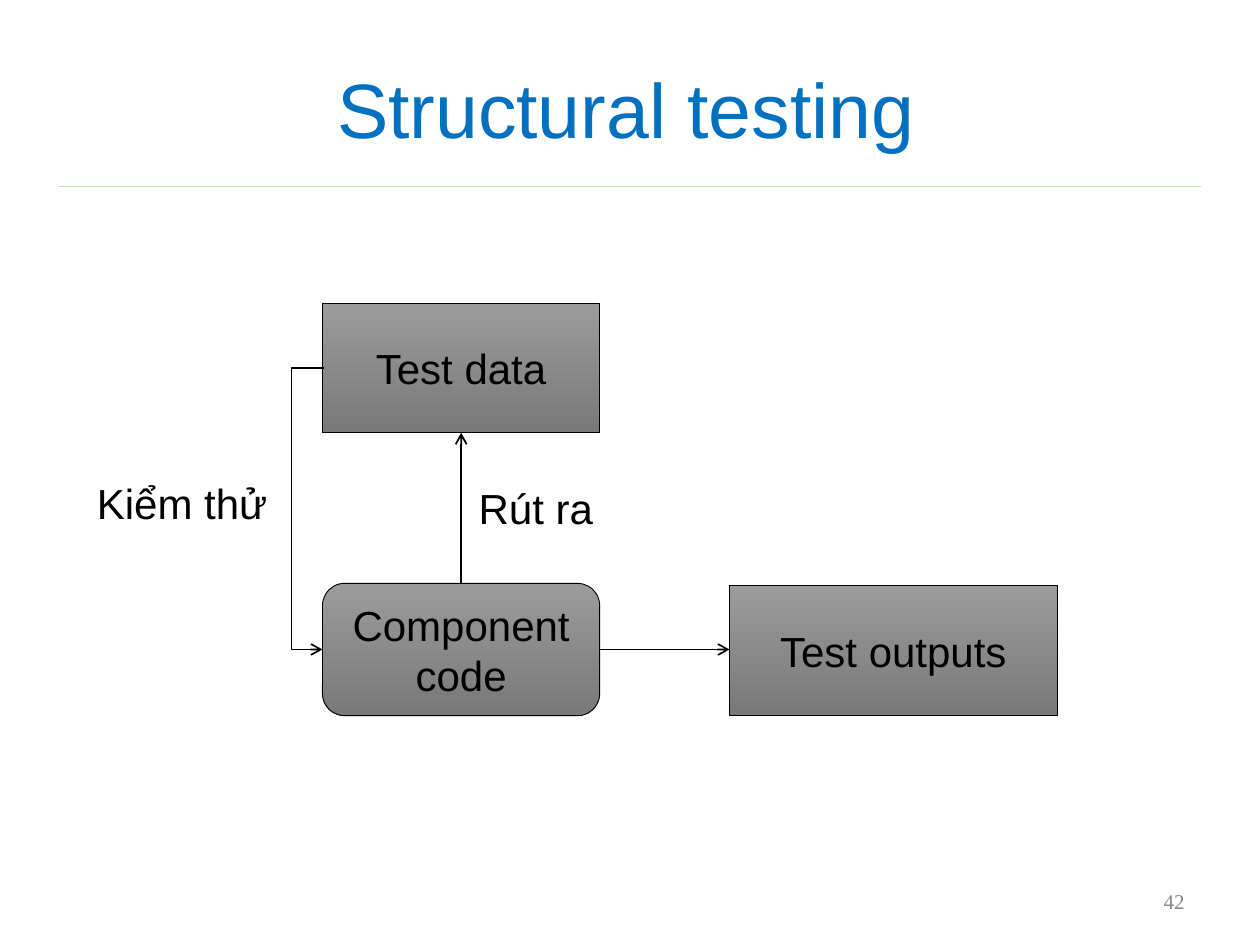
"""Build the structural testing slide: a flow between test data, code and outputs."""
import pptx
import pptx.dml.color
import pptx.enum.dml
import pptx.enum.shapes
import pptx.enum.text
import pptx.oxml
import pptx.oxml.ns
import pptx.util

RGBColor = pptx.dml.color.RGBColor
BLACK = RGBColor(0x00, 0x00, 0x00)
BLUE = RGBColor(0x00, 0x70, 0xC0)
GREY = RGBColor(0x89, 0x89, 0x89)
PALE_GREEN = RGBColor(0xC0, 0xE5, 0xAF)
GRADIENT = (RGBColor(0x9B, 0x9B, 0x9B), RGBColor(0x79, 0x79, 0x79))

WIDTH, HEIGHT = pptx.util.Inches(10), pptx.util.Inches(7.5)
SHAPE = pptx.enum.shapes.MSO_SHAPE
CONNECTOR = pptx.enum.shapes.MSO_CONNECTOR
ALIGN = pptx.enum.text.PP_ALIGN
ANCHOR = pptx.enum.text.MSO_ANCHOR

BODY = {"size": pptx.util.Pt(24), "name": "Arial"}
TITLE = {"size": pptx.util.Pt(44), "name": "Arial"}
NUMBER = {"size": pptx.util.Pt(12), "name": "Times New Roman"}


def place(*percents):
    """Turn alternating horizontal and vertical percentages into lengths."""
    return [int(side * percent / 100)
            for percent, side in zip(percents, (WIDTH, HEIGHT) * 2)]


def write(box, text, font, color, align, anchor=ANCHOR.MIDDLE, wrap=True):
    """Put one formatted paragraph into a box."""
    frame = box.text_frame
    frame.word_wrap = wrap
    frame.vertical_anchor = anchor
    para = frame.paragraphs[0]
    para.alignment = align
    span = para.add_run()
    span.text = text
    for name, value in font.items():
        setattr(span.font, name, value)
    span.font.color.rgb = color


def add_text(page, area, *args, **options):
    """Add a text box."""
    write(page.shapes.add_textbox(*place(*area)), *args, **options)


def add_label(page, area, text):
    """Add an unwrapped label beside an arrow."""
    add_text(page, area, text, BODY, BLACK, ALIGN.LEFT, anchor=ANCHOR.TOP, wrap=False)


def add_node(page, kind, area, text):
    """Add a grey gradient box of the flow and return it."""
    node = page.shapes.add_shape(kind, *place(*area))
    node.shadow.inherit = False
    node.fill.gradient()
    node.fill.gradient_angle = 270
    for stop, color in zip(node.fill.gradient_stops, GRADIENT):
        stop.color.rgb = color
    node.line.color.rgb = BLACK
    node.line.width = pptx.util.Pt(0.5)
    write(node, text, BODY, BLACK, ALIGN.CENTER)
    return node


def add_line(page, ends, color=BLACK, width=1, kind=CONNECTOR.STRAIGHT, arrow=True):
    """Add a connector, with an open arrowhead at its end if wanted."""
    line = page.shapes.add_connector(kind, *ends)
    line.line.color.rgb = color
    line.line.width = pptx.util.Pt(width)
    if arrow:
        head = pptx.oxml.parse_xml(
            f'<a:tailEnd {pptx.oxml.ns.nsdecls("a")} type="arrow"/>')
        line.line._get_or_add_ln().append(head)
    line._element.spPr.append(
        pptx.oxml.parse_xml(f'<a:effectLst {pptx.oxml.ns.nsdecls("a")}/>'))
    return line


def add_detour(page, ends, reach):
    """Add an elbow arrow that swings left of its start by the given reach."""
    line = add_line(page, ends, kind=CONNECTOR.ELBOW)
    ratio = round(100000 * reach / abs(ends[0] - ends[2]))
    guides = line._element.spPr.prstGeom.get_or_add_avLst()
    guides.append(pptx.oxml.parse_xml(
        f'<a:gd {pptx.oxml.ns.nsdecls("a")} name="adj1" fmla="val {ratio}"/>'))


def add_flow(page):
    """Add the three boxes with their arrows and labels."""
    data = add_node(page, SHAPE.RECTANGLE, (25.6, 32.13, 22, 13.67), "Test data")
    code = add_node(page, SHAPE.ROUNDED_RECTANGLE, (25.6, 61.73, 22, 14), "Component code")
    outputs = add_node(page, SHAPE.RECTANGLE, (57.9, 62, 26, 13.73), "Test outputs")

    center = code.left + code.width // 2
    data_middle = data.top + data.height // 2
    code_middle = code.top + code.height // 2
    start = data.left + pptx.util.Inches(0.01)
    add_detour(page, (start, data_middle, code.left, code_middle), pptx.util.Inches(0.26))
    add_line(page, (center, code.top, center, data.top + data.height))
    add_line(page, (code.left + code.width, code_middle, outputs.left, code_middle))

    add_label(page, (37, 50.4, 11.1, 6.67), "Rút ra")
    add_label(page, (6.7, 49.87, 15.5, 6.67), "Kiểm thử")


def main():
    """Build and save the deck."""
    deck = pptx.Presentation()
    deck.slide_width, deck.slide_height = WIDTH, HEIGHT
    page = deck.slides.add_slide(deck.slide_layouts[6])
    add_line(page, place(4.7, 19.73, 95.3, 19.73), PALE_GREEN, 0.5, arrow=False)
    add_text(page, (71.7, 92.67, 23.3, 5.33), "42", NUMBER, GREY, ALIGN.RIGHT)
    add_text(page, (4.7, 3.07, 90, 16.67), "Structural testing", TITLE, BLUE, ALIGN.CENTER)
    add_flow(page)
    deck.save("out.pptx")


if __name__ == "__main__":
    main()
